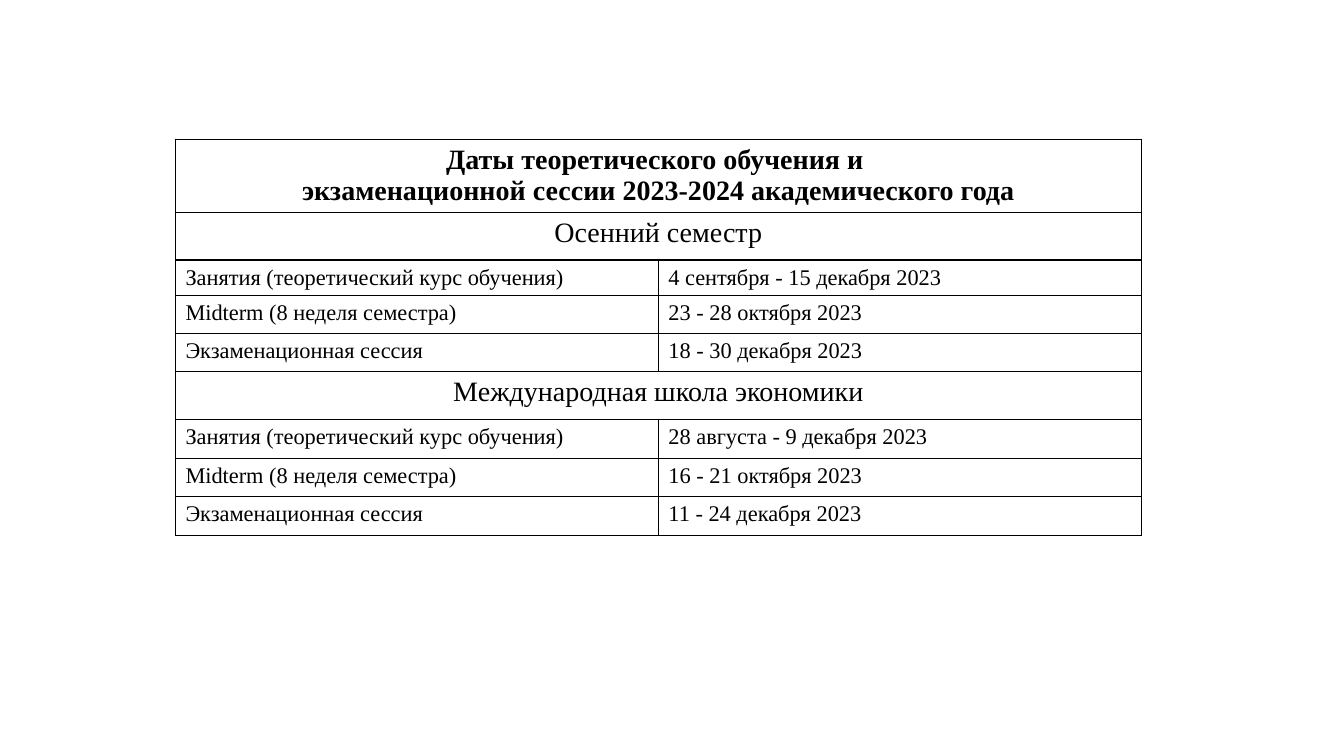
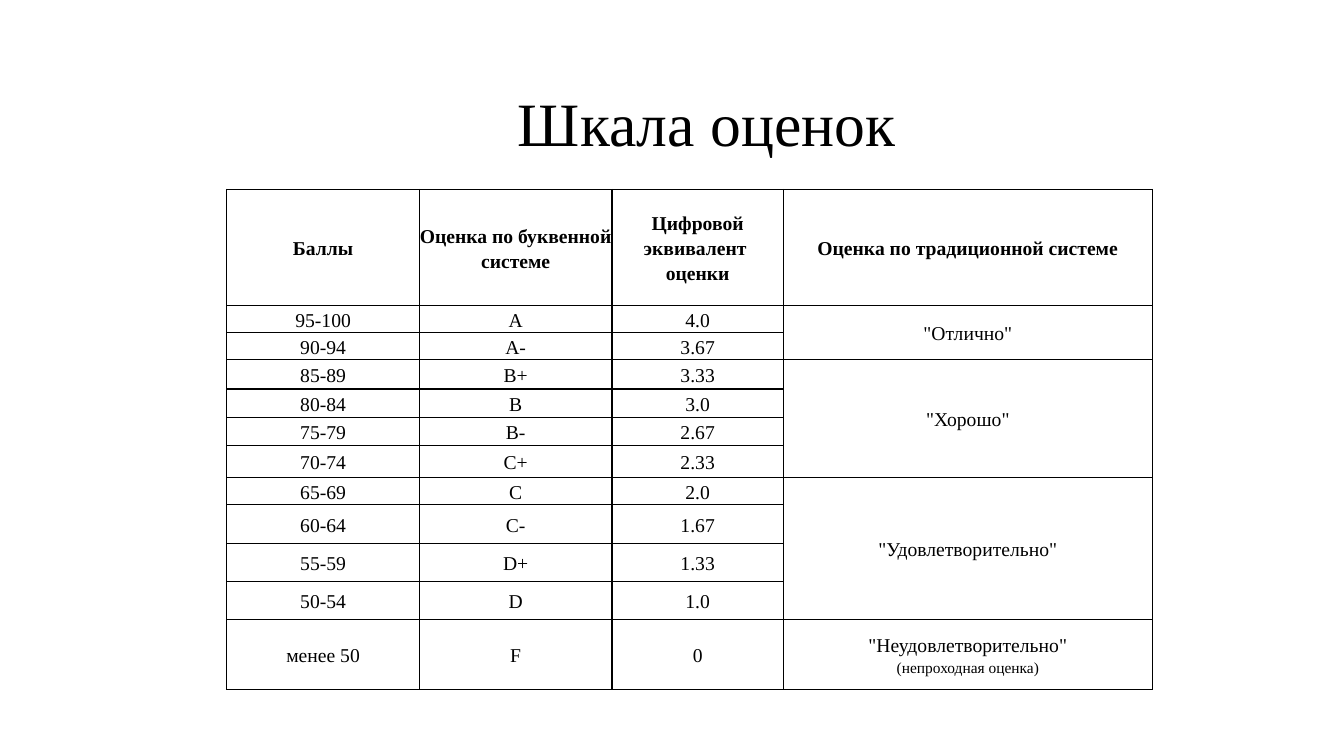
from lxml.etree import SubElement as Sub
from pptx import Presentation as Deck
from pptx.dml.color import RGBColor as Rgb
from pptx.enum.text import MSO_ANCHOR as Anchor, PP_ALIGN as Align
from pptx.oxml.ns import qn
from pptx.util import Inches, Pt

HUES = {"ink": "000000", "paper": "FFFFFF"}
FACE = "Times New Roman"
TITLE = {"size": 44}
HEAD = {"size": 20, "bold": True}
BAND = {"size": 20}
ITEM = {"size": 16, "align": Align.LEFT}
MARK = {"size": 14, "space": 1.15}
TOP = {**MARK, "bold": True}
NOTE = {**MARK, "size": 11}
ROOMY = {"margin_left": 0.1, "margin_right": 0.1, "margin_top": 0.05, "margin_bottom": 0.05}
TIGHT = dict.fromkeys(ROOMY, 0)

TERMS = [
    ("Осенний семестр",
     ["4 сентября - 15 декабря 2023", "23 - 28 октября 2023", "18 - 30 декабря 2023"]),
    ("Международная школа экономики",
     ["28 августа - 9 декабря 2023", "16 - 21 октября 2023", "11 - 24 декабря 2023"]),
]
STAGES = ["Занятия (теоретический курс обучения)", "Midterm (8 неделя семестра)",
          "Экзаменационная сессия"]
HEADS = [["Баллы"], ["Оценка по буквенной ", "системе"],
         ["Цифровой эквивалент ", "оценки"], ["Оценка по традиционной системе"]]
MARKS = [
    ("95-100", "A", "4.0"), ("90-94", "A-", "3.67"), ("85-89", "B+", "3.33"),
    ("80-84", "B", "3.0"), ("75-79", "B-", "2.67"), ("70-74", "C+", "2.33"),
    ("65-69", "C", "2.0"), ("60-64", "C-", "1.67"), ("55-59", "D+", "1.33"),
    ("50-54", "D", "1.0"), ("менее 50", "F", "0"),
]
GRADES = [('"Отлично"', 2), ('"Хорошо"', 4), ('"Удовлетворительно"', 4),
          ('"Неудовлетворительно"', 1)]


def hue(name):
    """Return a named colour."""
    return Rgb.from_string(HUES[name])


def write(frame, lines, look):
    """Fill a text frame with one paragraph per line."""
    for num, line in enumerate(lines):
        para = frame.add_paragraph() if num else frame.paragraphs[0]
        para.alignment = look.get("align", Align.CENTER)
        para.line_spacing = look.get("space")
        run = para.add_run()
        run.text = line
        style = {"name": FACE, "size": Pt(look["size"]), "bold": look.get("bold", False)}
        for key, val in style.items():
            setattr(run.font, key, val)
        run.font.color.rgb = hue("ink")
    return frame


def edge(cell):
    """Draw a thin line on each side of a cell."""
    props = cell._tc.get_or_add_tcPr()
    for num, side in enumerate(("lnL", "lnR", "lnT", "lnB")):
        line = Sub(props, qn("a:" + side), w=str(Pt(1)))
        fill = Sub(line, qn("a:solidFill"))
        Sub(fill, qn("a:srgbClr"), val=HUES["ink"])
        props.insert(num, line)


def grid(slide, box, cols, rows, pads, anchor):
    """Add a plain ruled table and return it."""
    area = map(Inches, box)
    table = slide.shapes.add_table(len(rows), len(cols), *area).table
    table.first_row = table.horz_banding = False
    for col, wide in zip(table.columns, cols):
        col.width = Inches(wide)
    for row, tall in zip(table.rows, rows):
        row.height = Inches(tall)
    for cell in table.iter_cells():
        for key, val in pads.items():
            setattr(cell, key, Inches(val))
        cell.vertical_anchor = anchor
        cell.fill.solid()
        cell.fill.fore_color.rgb = hue("paper")
        edge(cell)
    return table


def span(table, row, lines, look):
    """Merge a row across the table and write in it."""
    cell = table.cell(row, 0)
    cell.merge(table.cell(row, len(table.columns) - 1))
    write(cell.text_frame, lines, look)


def dates(slide, box):
    """Place the table of term dates."""
    rows = [0.73, 0.47, 0.35, 0.38, 0.38, 0.47, 0.39, 0.38, 0.38]
    table = grid(slide, box, [box[2] / 2] * 2, rows, ROOMY, Anchor.TOP)
    span(table, 0, ["Даты теоретического обучения и ",
                    "экзаменационной сессии 2023-2024 академического года"], HEAD)
    row = 1
    for term, days in TERMS:
        span(table, row, [term], BAND)
        for num, pair in enumerate(zip(STAGES, days), row + 1):
            for col, text in enumerate(pair):
                write(table.cell(num, col).text_frame, [text], ITEM)
        row += len(days) + 1


def title(slide, box, text):
    """Place a centred slide title."""
    frame = slide.shapes.add_textbox(*map(Inches, box)).text_frame
    frame.word_wrap = True
    frame.vertical_anchor = Anchor.MIDDLE
    write(frame, [text], {**TITLE, "space": 0.9})


def scale(slide, box):
    """Place the table of grades."""
    rows = [1.15, 0.27, 0.27, 0.29, 0.28, 0.28, 0.32, 0.27, 0.38, 0.38, 0.38, 0.69]
    table = grid(slide, box, [1.91, 1.91, 1.7, 3.66], rows, TIGHT, Anchor.MIDDLE)
    for col, lines in enumerate(HEADS):
        write(table.cell(0, col).text_frame, lines, TOP)
    for row, mark in enumerate(MARKS, 1):
        for col, text in enumerate(mark):
            write(table.cell(row, col).text_frame, [text], MARK)
    row = 1
    for text, count in GRADES:
        cell = table.cell(row, 3)
        if count > 1:
            cell.merge(table.cell(row + count - 1, 3))
        frame = write(cell.text_frame, [text], MARK)
        row += count
    extra = frame.add_paragraph()
    extra.alignment = Align.CENTER
    extra.line_spacing = NOTE["space"]
    run = extra.add_run()
    run.text = "(непроходная оценка)"
    for key, val in {"name": FACE, "size": Pt(NOTE["size"])}.items():
        setattr(run.font, key, val)
    run.font.color.rgb = hue("ink")


def main():
    """Build and save the deck."""
    deck = Deck()
    deck.slide_width, deck.slide_height = Inches(13.33), Inches(7.5)
    blank = deck.slide_layouts[6]
    dates(deck.slides.add_slide(blank), (1.74, 1.38, 9.58, 3.93))
    slide = deck.slides.add_slide(blank)
    title(slide, (3.75, 0.76, 6.52, 1), "Шкала оценок")
    scale(slide, (2.25, 1.88, 9.18, 4.96))
    deck.save("out.pptx")


if __name__ == "__main__":
    main()
